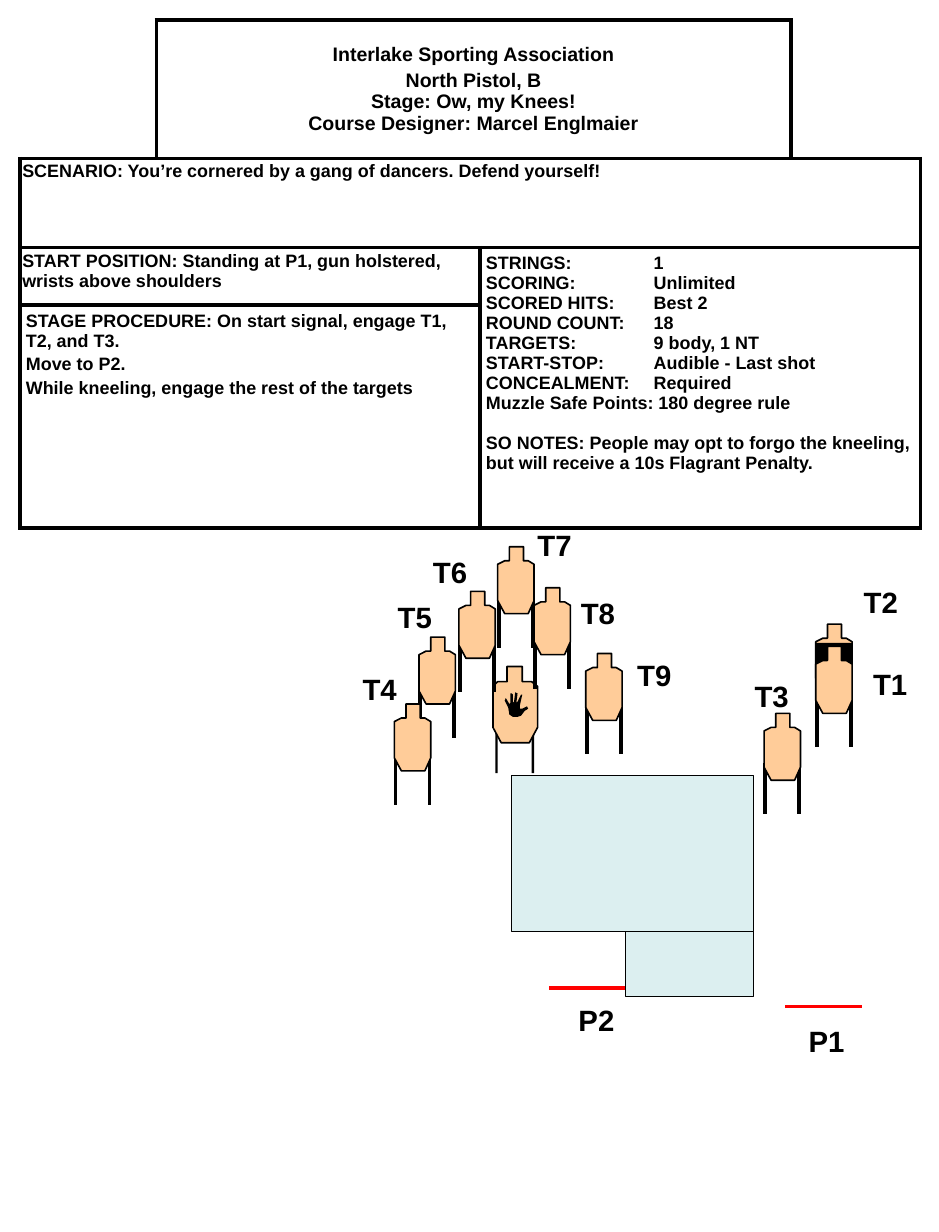
from lxml import etree
from pptx import Presentation
from pptx import util as u
from pptx.dml.color import RGBColor
from pptx.enum import shapes, text
from pptx.oxml import ns

Inches = u.Inches
BLACK, WHITE, TAN = "000000", "FFFFFF", "FFCC99"

TARGET = [(0.1, 0), (0.22, 0), (0.22, 0.12), (0.26, 0.12), (0.31, 0.15),
          (0.31, 0.46), (0.26, 0.57), (0.06, 0.57), (0, 0.46), (0, 0.15),
          (0.06, 0.12), (0.1, 0.12)]
HOOD = [(0, 0.16), (0.31, 0.16), (0.31, 0.46), (0.26, 0.57), (0.06, 0.57), (0, 0.46)]
NO_SHOOT = [(0.12, 0), (0.25, 0), (0.25, 0.13), (0.33, 0.13), (0.38, 0.17), (0.38, 0.52),
            (0.31, 0.65), (0.07, 0.65), (0, 0.52), (0, 0.17), (0.04, 0.13), (0.12, 0.13)]
HAND = [(0.14, 0.2), (0.11, 0.21), (0.07, 0.21), (0.04, 0.19), (0.03, 0.13),
        (0, 0.07), (0.01, 0.05), (0.04, 0.1), (0.05, 0.09), (0.05, 0.01),
        (0.06, 0.01), (0.07, 0.02), (0.07, 0.09), (0.08, 0.08), (0.09, 0),
        (0.11, 0.01), (0.1, 0.09), (0.11, 0.08), (0.14, 0.02), (0.15, 0.02),
        (0.13, 0.11), (0.13, 0.14), (0.15, 0.14), (0.19, 0.12), (0.2, 0.14),
        (0.17, 0.16)]

LABELS = {"P1": (6.79, 8.67), "P2": (4.83, 8.49), "T1": (7.34, 5.63),
          "T2": (7.26, 4.93), "T3": (6.33, 5.73), "T4": (2.99, 5.67),
          "T5": (3.29, 5.06), "T6": (3.59, 4.67), "T7": (4.48, 4.44),
          "T8": (4.85, 5.02), "T9": (5.33, 5.55)}
TARGETS = [(4.24, 4.66), (4.55, 5.01), (4.99, 5.57), (3.91, 5.04),
           (3.57, 5.43), (3.36, 6.0), (6.51, 6.08)]

TITLE = ["Interlake Sporting Association",
         "North Pistol, B\vStage: Ow, my Knees!\vCourse Designer: Marcel Englmaier"]
SCENARIO = ["SCENARIO: You’re cornered by a gang of dancers. Defend yourself!"]
START = ["START POSITION: Standing at P1, gun holstered, wrists above shoulders"]
PROCEDURE = ["STAGE PROCEDURE: On start signal, engage T1, T2, and T3.",
             "Move to P2.", "While kneeling, engage the rest of the targets"]
DETAILS = ["STRINGS:\t1", "SCORING:\tUnlimited", "SCORED HITS:\tBest 2",
           "ROUND COUNT:\t18", "TARGETS:\t9 body, 1 NT",
           "START-STOP:\tAudible - Last shot", "CONCEALMENT:\tRequired",
           "Muzzle Safe Points: 180 degree rule",
           "SO NOTES: People may opt to forgo the kneeling, "
           "but will receive a 10s Flagrant Penalty."]


def color(value):
    return RGBColor.from_string(value)


def set_font(paragraph, size):
    paragraph.font.name = "Arial"
    paragraph.font.size = u.Pt(size)
    paragraph.font.bold = True
    paragraph.font.color.rgb = color(BLACK)


def paint(shape, fill, line=None, width=1):
    shape.shadow.inherit = False
    shape.fill.solid()
    shape.fill.fore_color.rgb = color(fill)
    if line:
        shape.line.color.rgb = color(line)
        shape.line.width = u.Pt(width)
    else:
        shape.line.fill.background()


def add_line(parent, x1, y1, x2, y2, line, width):
    connector = parent.add_connector(shapes.MSO_CONNECTOR.STRAIGHT, Inches(x1),
                                     Inches(y1), Inches(x2), Inches(y2))
    connector.line.color.rgb = color(line)
    connector.line.width = u.Pt(width)
    etree.SubElement(connector._element.spPr, ns.qn("a:effectLst"))


def add_rectangle(parent, left, top, width, height, fill, line=None, alpha=None):
    shape = parent.add_shape(shapes.MSO_SHAPE.RECTANGLE, Inches(left), Inches(top),
                             Inches(width), Inches(height))
    paint(shape, fill, line, 0.75)
    if alpha:
        fill_color = shape._element.spPr.find(".//" + ns.qn("a:srgbClr"))
        etree.SubElement(fill_color, ns.qn("a:alpha"), val=str(alpha * 1000))


def add_outline(parent, left, top, points, fill, line=None):
    vertices = [(Inches(left + x), Inches(top + y)) for x, y in points]
    builder = parent.build_freeform(*vertices[0])
    builder.add_line_segments(vertices[1:], close=True)
    paint(builder.convert_to_shape(), fill, line)


def add_target(parent, left, top):
    for offset in (0.01, 0.3):
        x = left + offset
        add_line(parent, x, top + 0.42, x, top + 0.86, BLACK, 2.25)
    add_outline(parent, left, top, TARGET, TAN, BLACK)


def add_hooded_pair(parent, left, top):
    add_outline(parent, left, top, TARGET, TAN, BLACK)
    add_outline(parent, left, top, HOOD, BLACK)
    add_target(parent, left, top + 0.19)


def add_no_shoot(parent, left, top):
    for offset in (0.02, 0.33):
        add_rectangle(parent, left + offset, top + 0.48, 0.02, 0.43, BLACK)
    add_outline(parent, left, top, NO_SHOOT, "FDCC99", BLACK)
    add_outline(parent, left + 0.1, top + 0.22, HAND, BLACK)


def add_label(slide, label, left, top):
    box = slide.shapes.add_textbox(Inches(left), Inches(top), Inches(0.58), Inches(0.4))
    box.text_frame.word_wrap = True
    paragraph = box.text_frame.paragraphs[0]
    paragraph.text = label
    set_font(paragraph, 18)


def set_borders(cell, sides):
    properties = cell._tc.get_or_add_tcPr()
    for side in "LRTB":
        line = etree.SubElement(properties, ns.qn("a:ln" + side), w=str(u.Pt(2.25)))
        if side in sides:
            fill = etree.SubElement(line, ns.qn("a:solidFill"))
            etree.SubElement(fill, ns.qn("a:srgbClr"), val=BLACK)
        else:
            etree.SubElement(line, ns.qn("a:noFill"))


def fill_cell(cell, lines, size=11, margins=(0.05, 0.05), gap=0):
    cell.margin_left = cell.margin_right = Inches(margins[0])
    cell.margin_top = cell.margin_bottom = Inches(margins[1])
    for index, line in enumerate(lines):
        frame = cell.text_frame
        paragraph = frame.add_paragraph() if index else frame.paragraphs[0]
        paragraph.text = line
        if index and gap:
            paragraph.space_before = u.Pt(gap)
        if "\t" in line:
            tabs = etree.SubElement(paragraph._p.get_or_add_pPr(), ns.qn("a:tabLst"))
            etree.SubElement(tabs, ns.qn("a:tab"), pos=str(Inches(1.43)), algn="l")
        set_font(paragraph, size)


def add_stage_table(slide):
    widths, heights = [1.16, 2.76, 2.65, 1.1], [1.18, 0.76, 0.49, 1.9]
    table = slide.shapes.add_table(4, 4, Inches(0.17), Inches(0.17),
                                   Inches(sum(widths)), Inches(sum(heights))).table
    table.first_row = table.horz_banding = False
    for column, width in zip(table.columns, widths):
        column.width = Inches(width)
    for row, height in zip(table.rows, heights):
        row.height = Inches(height)
    corners = {(0, 0): "RB", (0, 3): "LB"}
    for row in range(4):
        for column in range(4):
            cell = table.cell(row, column)
            set_borders(cell, corners.get((row, column), "LRTB"))
            cell.fill.solid()
            cell.fill.fore_color.rgb = color(WHITE)
    for first, last in [((0, 1), (0, 2)), ((1, 0), (1, 3)), ((2, 0), (2, 1)),
                        ((2, 2), (3, 3)), ((3, 0), (3, 1))]:
        table.cell(*first).merge(table.cell(*last))

    title = table.cell(0, 1)
    fill_cell(title, TITLE, size=12, gap=2.4)
    title.vertical_anchor = text.MSO_ANCHOR.MIDDLE
    for paragraph in title.text_frame.paragraphs:
        paragraph.alignment = text.PP_ALIGN.CENTER
    scenario = table.cell(1, 0)
    fill_cell(scenario, SCENARIO, margins=(0.02, 0.04))
    scenario.text_frame.paragraphs[0].line_spacing = 0.9
    fill_cell(table.cell(2, 0), START, margins=(0.02, 0.03))
    fill_cell(table.cell(3, 0), PROCEDURE, gap=2.2)
    details = table.cell(2, 2)
    fill_cell(details, DETAILS)
    details.text_frame.paragraphs[-1].space_before = u.Pt(12.3)


def main():
    presentation = Presentation()
    presentation.slide_width, presentation.slide_height = Inches(8), Inches(10.5)
    slide = presentation.slides.add_slide(presentation.slide_layouts[6])
    add_stage_table(slide)
    for left, top in [(6.69, 8.58), (4.68, 8.42)]:
        add_line(slide.shapes, left + 0.65, top, left, top, "FF0000", 2)
    for label, position in LABELS.items():
        add_label(slide, label, *position)
    add_rectangle(slide.shapes, 5.33, 7.94, 1.09, 0.55, "BBE0E3", BLACK, 50)
    add_rectangle(slide.shapes, 4.36, 6.61, 2.06, 1.33, "BBE0E3", BLACK, 50)
    add_hooded_pair(slide.shapes.add_group_shape().shapes, 6.95, 5.32)
    add_no_shoot(slide.shapes.add_group_shape().shapes, 4.2, 5.68)
    for left, top in TARGETS:
        add_target(slide.shapes.add_group_shape().shapes, left, top)
    presentation.save("out.pptx")


if __name__ == "__main__":
    main()
